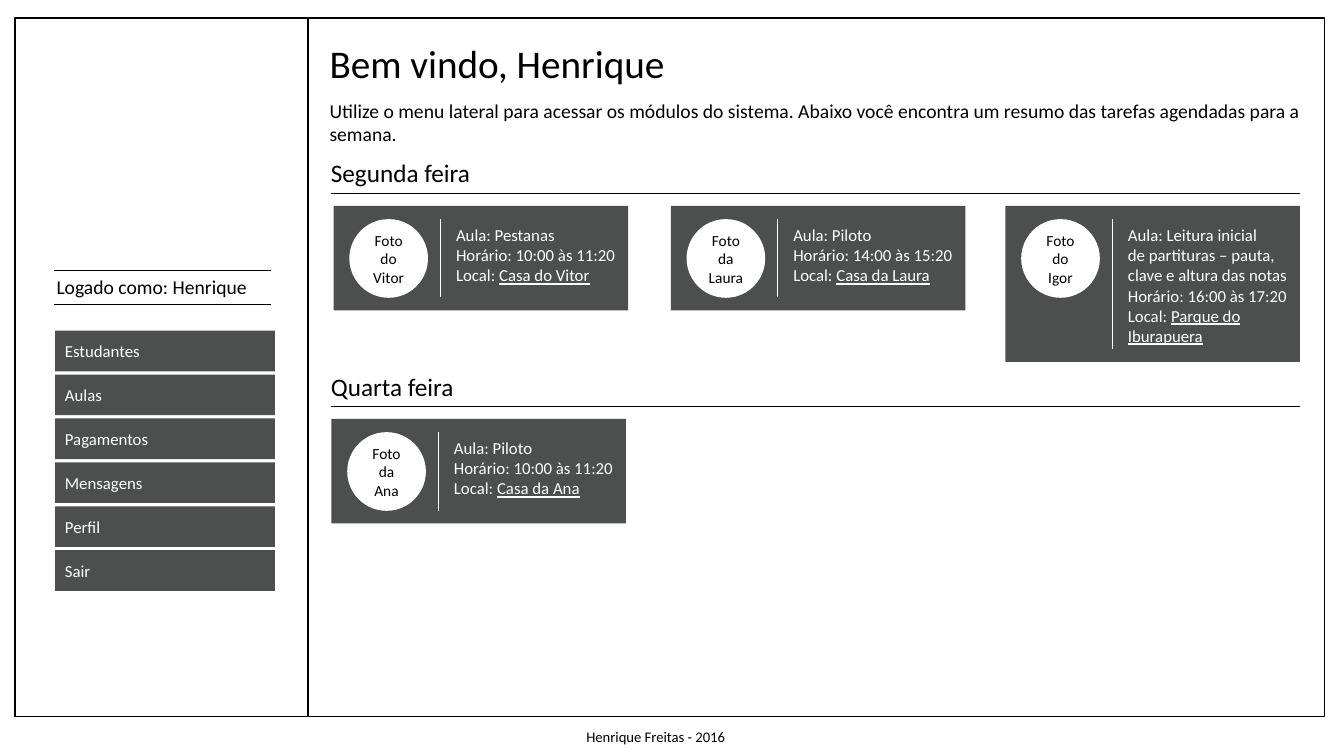
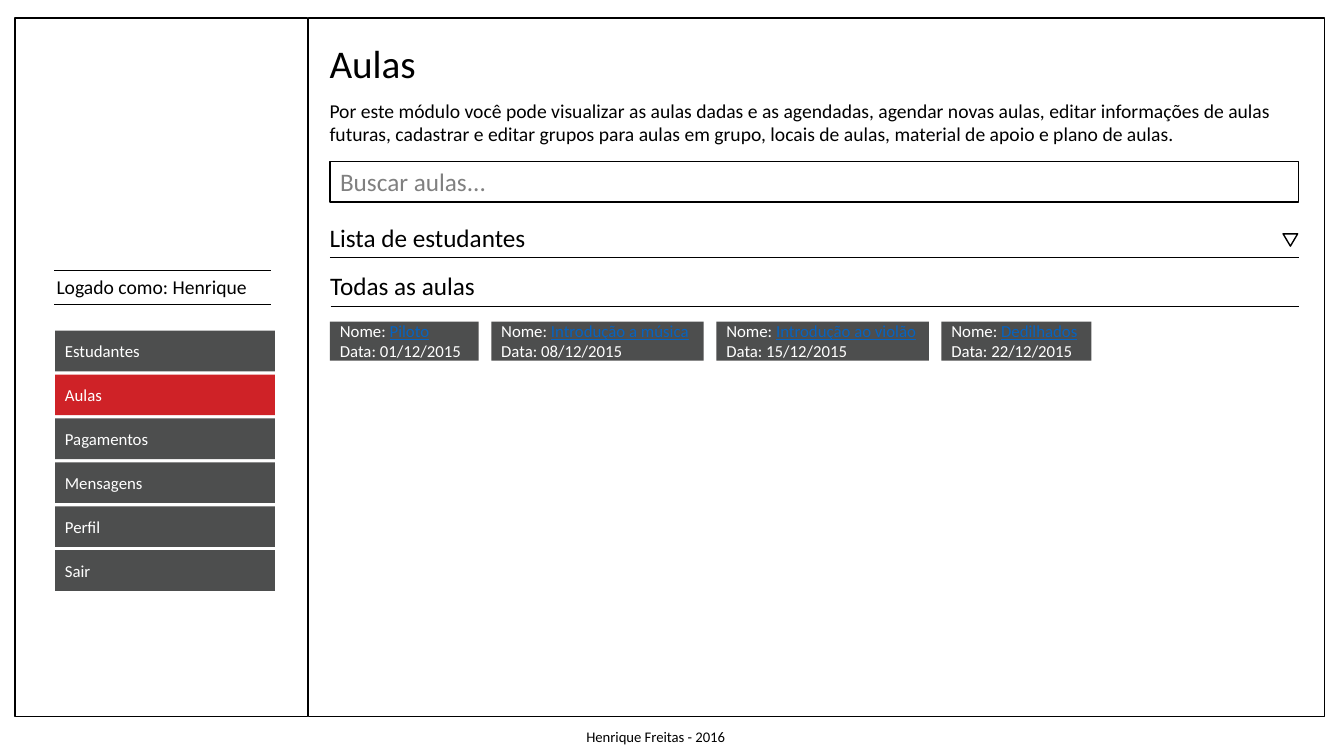
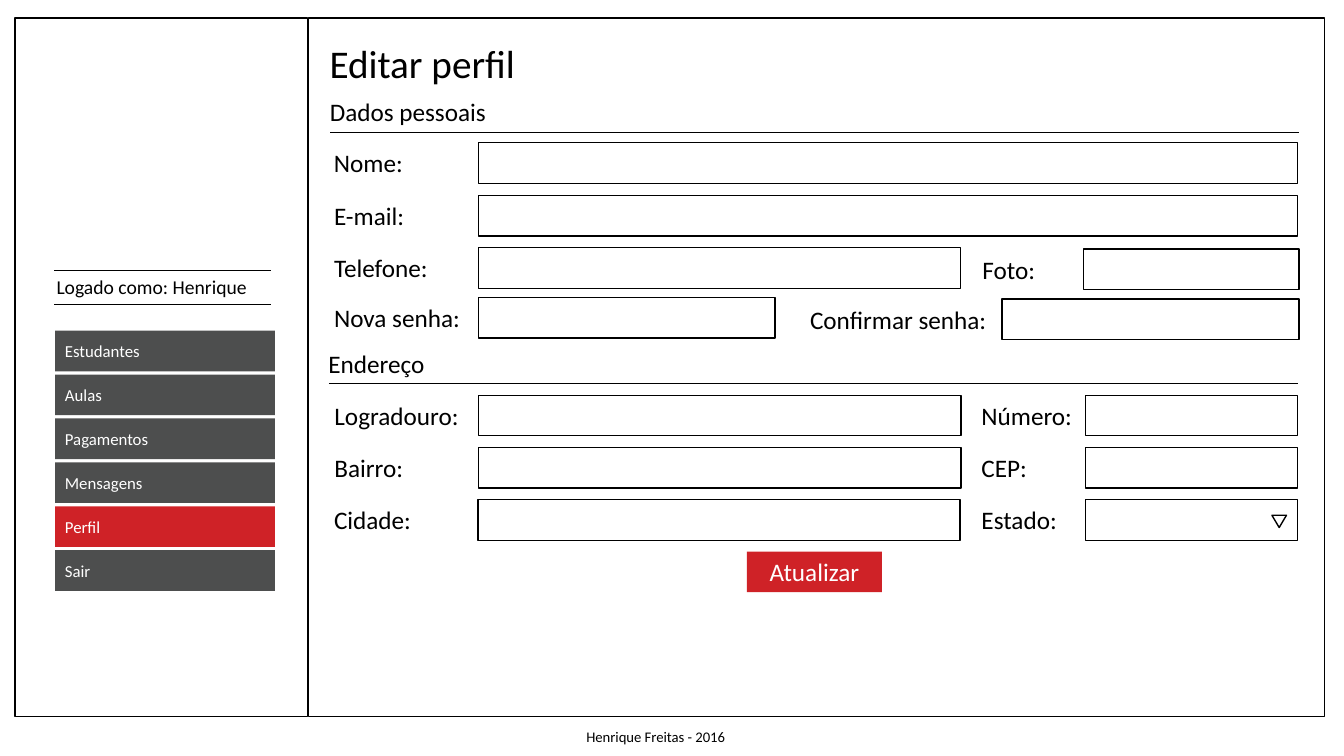
from lxml import etree
from pptx import Presentation
from pptx import util as u
from pptx.dml.color import RGBColor
from pptx.enum import shapes, text
from pptx.oxml.ns import qn

COLOURS = {"ink": "000000", "paper": "FFFFFF", "panel": "4D4E4E",
           "accent": "CF2227", "hint": "808080", "link": "0563C1"}
FONT = "Calibri"
RECT = shapes.MSO_SHAPE.RECTANGLE
OVAL = shapes.MSO_SHAPE.OVAL
TRIANGLE = shapes.MSO_SHAPE.ISOSCELES_TRIANGLE
FIELD_HEIGHT = 29


def add_box(page, kind, place, words="", size=12, colour="ink", fill=None,
            line=None, link=None, centred=False):
    """Add a preset shape, or a text box if kind is None.

    place is left, top, width, height in points. Each line of words is a
    paragraph, and what follows a "|" in it is underlined in the link colour.
    """
    place = [u.Pt(length) for length in place]
    if kind is None:
        box = page.shapes.add_textbox(*place)
        box.text_frame.word_wrap = False
        box.text_frame.auto_size = text.MSO_AUTO_SIZE.SHAPE_TO_FIT_TEXT
    else:
        box = page.shapes.add_shape(kind, *place)
        box.shadow.inherit = False
        box.text_frame.vertical_anchor = text.MSO_ANCHOR.MIDDLE
        if fill:
            box.fill.solid()
            box.fill.fore_color.rgb = RGBColor.from_string(COLOURS[fill])
        else:
            box.fill.background()
        if line:
            box.line.color.rgb = RGBColor.from_string(COLOURS[line])
            box.line.width = u.Pt(1)
        else:
            box.line.fill.background()
    if not words:
        return box
    box.text_frame.text = words.replace("|", "")
    for para, source in zip(box.text_frame.paragraphs, words.split("\n")):
        para.alignment = text.PP_ALIGN.CENTER if centred else text.PP_ALIGN.LEFT
        plain, mark, linked = source.partition("|")
        if mark:
            para.clear()
            for part in filter(None, (plain, linked)):
                para.add_run().text = part
            para.runs[-1].font.underline = True
        for span in para.runs:
            tone = link if span.font.underline and link else colour
            span.font.name = FONT
            span.font.size = u.Pt(size)
            span.font.color.rgb = RGBColor.from_string(COLOURS[tone])
    return box


def add_line(page, left, top, right, bottom, colour="ink"):
    ends = [u.Pt(length) for length in (left, top, right, bottom)]
    line = page.shapes.add_connector(shapes.MSO_CONNECTOR.STRAIGHT, *ends)
    line.line.color.rgb = RGBColor.from_string(COLOURS[colour])
    line.line.width = u.Pt(0.5)
    etree.SubElement(line._element.spPr, qn("a:effectLst"))


deck = Presentation()
deck.slide_width = u.Pt(960)
deck.slide_height = u.Pt(540)

menu = ["Estudantes", "Aulas", "Pagamentos", "Mensagens", "Perfil", "Sair"]

# Title and its width, active menu entry, introduction and its width,
# sections as (heading, left, top, width)
screens = [
    ("Bem vindo, Henrique", 256.3, None,
     "Utilize o menu lateral para acessar os módulos do sistema. Abaixo você "
     "encontra um resumo das tarefas agendadas para a\nsemana.", 717.8,
     [("Segunda feira", 229.3, 109, 115), ("Quarta feira", 229.3, 261.5, 103)]),
    ("Aulas", 77, "Aulas",
     "Por este módulo você pode visualizar as aulas dadas e as agendadas, "
     "agendar novas aulas, editar informações de aulas\nfuturas, cadastrar e "
     "editar grupos para aulas em grupo, locais de aulas, material de apoio e "
     "plano de aulas.", 693.4,
     [("Lista de estudantes", 228.3, 155, 156), ("Todas as aulas", 228.7, 189.5, 119)]),
    ("Editar perfil", 148.3, "Perfil", "", 0,
     [("Dados pessoais", 228.5, 65.5, 127.5), ("Endereço", 227.5, 245, 84)]),
]

pages = []
for title, title_width, active, intro, intro_width, sections in screens:
    page = deck.slides.add_slide(deck.slide_layouts[6])
    pages.append(page)
    add_box(page, RECT, (220.3, 13, 725.7, 499), line="ink")
    add_box(page, RECT, (10.8, 13, 208.8, 499), line="ink")
    add_box(page, None, (33.3, 193, 152, 24.3), "Logado como: Henrique", 14)
    for top in (193, 217.4):
        add_line(page, 38.9, top, 193.7, top)
    add_box(page, None, (411.8, 516.2, 116, 20), "Henrique Freitas - 2016", 10.5)
    for row, entry in enumerate(menu):
        add_box(page, RECT, (39.3, 236.2 + 31.36 * row, 157, FIELD_HEIGHT), entry,
                colour="paper", fill="accent" if entry == active else "panel")
    add_box(page, None, (228.3, 24.5, title_width, 41), title, 28)
    if intro:
        add_box(page, None, (228.3, 67, intro_width, 41), intro, 14)
    for heading, left, top, width in sections:
        add_box(page, None, (left, top, width, FIELD_HEIGHT), heading, 18)
        add_line(page, left + 7.4, top + 29, left + 699.4, top + 29)

welcome, lessons, profile = pages

# Card left, top, height, photo caption and lesson details
cards = [
    (238.3, 147, 74.7, "Foto do Vitor",
     "Aula: Pestanas\nHorário: 10:00 às 11:20\nLocal: |Casa do Vitor"),
    (479.2, 147, 74.7, "Foto da Laura",
     "Aula: Piloto\nHorário: 14:00 às 15:20\nLocal: |Casa da Laura"),
    (718.2, 147, 111.5, "Foto do Igor",
     "Aula: Leitura inicial\nde partituras – pauta,\nclave e altura das notas\n"
     "Horário: 16:00 às 17:20\nLocal: |Parque do\n|Iburapuera"),
    (236.8, 299.2, 74.7, "Foto da Ana",
     "Aula: Piloto\nHorário: 10:00 às 11:20\nLocal: |Casa da Ana"),
]
for left, top, height, caption, details in cards:
    add_box(welcome, RECT, (left, top, 210.4, height), fill="panel")
    add_box(welcome, None, (left + 80.4, top + 10, 129.6, height - 18), details,
            colour="paper")
    photo = add_box(welcome, OVAL, (left + 11.2, top + 9.5, 56.2, 56.2), caption, 11,
                    fill="paper", centred=True)
    photo.text_frame.margin_left = photo.text_frame.margin_right = u.Pt(5.5)
    add_line(welcome, left + 76.2, top + 9.5, left + 76.2, top + height - 9.2, "paper")

add_box(lessons, RECT, (235.8, 115.4, 691.5, FIELD_HEIGHT), "Buscar aulas...", 18,
        "hint", line="ink")
left = 235.7
for name, date, width in [("Piloto", "01/12/2015", 106.2),
                          ("Introdução a música", "08/12/2015", 151.8),
                          ("Introdução ao violão", "15/12/2015", 151.8),
                          ("Dedilhados", "22/12/2015", 107.2)]:
    add_box(lessons, RECT, (left, 229.7, width, 28), f"Nome: |{name}\nData: {date}",
            colour="paper", fill="panel", link="link")
    left += width + 9

# Label, its left and width, field left and width, top
fields = [
    ("Nome:", 231.5, 64, 342, 584.8, 102),
    ("E-mail:", 231.5, 65.5, 342, 584.8, 139.5),
    ("Telefone:", 231.5, 82, 342, 344, 177),
    ("Foto:", 694.6, 52.5, 774, 154, 178),
    ("Nova senha:", 231.5, 106, 342, 211.7, 212.5),
    ("Confirmar senha:", 571.5, 142, 715.6, 212.4, 213.5),
    ("Logradouro:", 231.8, 104.5, 342, 344.4, 282.3),
    ("Número:", 694, 80, 775.3, 151.7, 282.3),
    ("Bairro:", 231.8, 64, 342, 344.4, 319.7),
    ("CEP:", 694, 47.5, 775.3, 151.7, 319.7),
    ("Cidade:", 231.5, 70.5, 341.5, 344.4, 357),
    ("Estado:", 694, 69, 775.3, 151.7, 357),
]
for label, label_left, label_width, left, width, top in fields:
    add_box(profile, None, (label_left, top, label_width, FIELD_HEIGHT), label, 18)
    add_box(profile, RECT, (left, top, width, FIELD_HEIGHT), line="ink")
add_box(profile, RECT, (533.5, 394, 96.5, FIELD_HEIGHT), "Atualizar", 18, "paper",
        fill="accent", centred=True)

for page, left, top in [(lessons, 916.5, 167), (profile, 908.5, 368)]:
    arrow = add_box(page, TRIANGLE, (left, top, 10.4, 8.8), line="ink")
    arrow.rotation = 180

deck.save("out.pptx")
